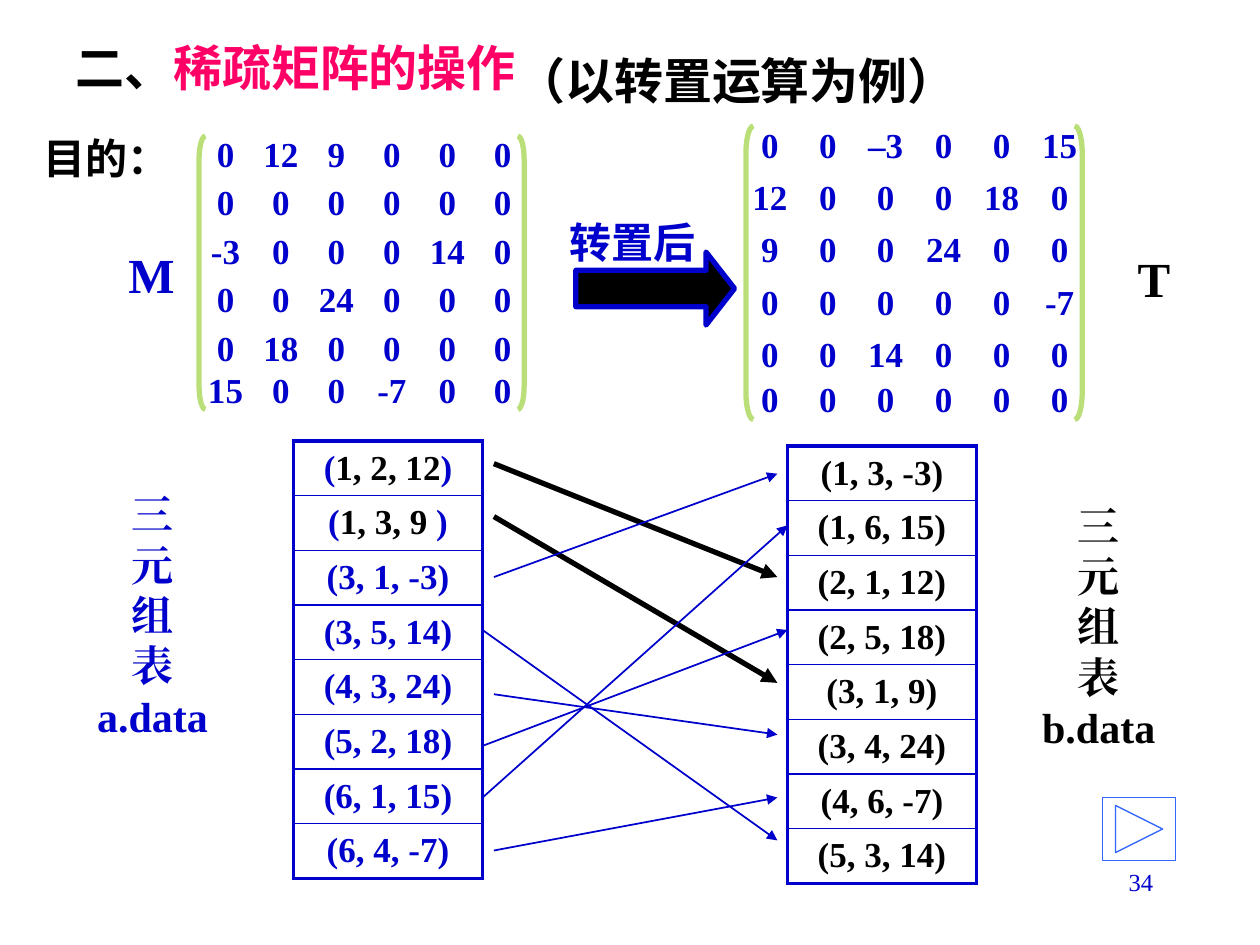
from dataclasses import dataclass

from lxml import etree
from pptx import Presentation
from pptx import util as u
from pptx.dml.color import RGBColor
from pptx.enum import shapes, text
from pptx.oxml.ns import qn


@dataclass(frozen=True)
class Theme:
    blue: str = "0000CC"
    black: str = "000000"
    pink: str = "FF0066"
    green: str = "BADE78"
    sky: str = "3366FF"
    serif: str = "Times New Roman"
    sans: str = "Noto Sans CJK SC"
    heading: int = 28
    label: int = 24
    number: int = 20
    page: int = 14
    thick: float = 3
    frame: float = 2.25
    thin: float = 1
    hairline: float = 0.75


T = Theme()
LEFT, CENTER, RIGHT = text.PP_ALIGN.LEFT, text.PP_ALIGN.CENTER, text.PP_ALIGN.RIGHT

MATRICES = [
    {"left": 1.58, "right": 4.11, "top": 1.08, "height": 2.17, "bracket": 0.05,
     "first": 1.79, "pitch": 0.44, "row_height": 0.27, "row_pitch": 0.385, "last_row": 2.96,
     "rows": ["0 12 9 0 0 0", "0 0 0 0 0 0", "-3 0 0 0 14 0",
              "0 0 24 0 0 0", "0 18 0 0 0 0", "15 0 0 -7 0 0"]},
    {"left": 5.92, "right": 8.53, "top": 1.0, "height": 2.33, "bracket": 0.06,
     "first": 6.11, "pitch": 0.46, "row_height": 0.29, "row_pitch": 0.415, "last_row": 3.02,
     "rows": ["0 0 –3 0 0 15", "12 0 0 0 18 0", "9 0 0 24 0 0",
              "0 0 0 0 0 -7", "0 0 14 0 0 0", "0 0 0 0 0 0"]},
]

TRIPLES = [
    {"left": 2.33, "top": 3.5, "color": T.blue, "rows": [
        [("(", T.blue), ("1, 2, 12", T.black), (")", T.blue)],
        [("(", T.blue), ("1, 3, 9", T.black), (" )", T.blue)],
        "(3, 1, -3)", "(3, 5, 14)", "(4, 3, 24)", "(5, 2, 18)", "(6, 1, 15)", "(6, 4, -7)"]},
    {"left": 6.25, "top": 3.54, "color": T.black, "rows": [
        "(1, 3, -3)", "(1, 6, 15)", "(2, 1, 12)", "(2, 5, 18)",
        "(3, 1, 9)", "(3, 4, 24)", "(4, 6, -7)", "(5, 3, 14)"]},
]
TABLE_WIDTH, TABLE_HEIGHT = 1.5, 3.47

MOVES = [
    (3.92, 3.68, 6.17, 4.58, T.black, T.thick),
    (3.92, 4.1, 6.17, 5.42, T.black, T.thick),
    (3.92, 4.58, 6.17, 3.76, T.blue, T.thin),
    (3.83, 5.0, 6.17, 6.67, T.blue, T.thin),
    (3.92, 6.75, 6.17, 6.33, T.blue, T.thin),
    (3.92, 5.51, 6.17, 5.83, T.blue, T.thin),
    (3.83, 5.92, 6.25, 5.0, T.blue, T.thin),
    (3.83, 6.33, 6.25, 4.17, T.blue, T.thin),
]

HEADINGS = [
    ((0.5, 0.25, 3.92, 0.67), [("二、", T.black), ("稀疏矩阵的操作", T.pink)], T.sans, T.heading),
    ((4, 0.35, 3.73, 0.57), [("（以转置运算为例）", T.black)], T.sans, T.heading),
    ((0.25, 1, 1.21, 0.5), [("目的：", T.black)], T.sans, T.label),
    ((4.42, 1.67, 1.21, 0.5), [("转置后", T.blue)], T.sans, T.label),
    ((0.92, 1.89, 0.57, 0.57), [("M", T.blue)], T.serif, T.heading),
    ((8.93, 1.92, 0.46, 0.57), [("T", T.black)], T.serif, T.heading),
]

CAPTIONS = [
    ((0.67, 3.83, 1.08, 2.1), ["三", "元", "组", "表", "a.data"], T.blue),
    ((8.17, 3.92, 1.1, 2.1), ["三", "元", "组", "表", "b.data"], T.black),
]


def rgb(color):
    return RGBColor.from_string(color)


def inches(values):
    return [u.Inches(value) for value in values]


def write(paragraph, parts, font, size, align=LEFT, bold=True):
    paragraph.alignment = align
    for wording, color in parts:
        run = paragraph.add_run()
        run.text = wording
        run.font.name, run.font.size, run.font.bold = font, u.Pt(size), bold
        run.font.color.rgb = rgb(color)
        etree.SubElement(run.font._element, qn("a:ea"), typeface=font)


def add_box(slide, place, lines, font, size, align=LEFT, bold=True, wrap=False):
    frame = slide.shapes.add_textbox(*inches(place)).text_frame
    frame.word_wrap = wrap
    for index, parts in enumerate(lines):
        paragraph = frame.add_paragraph() if index else frame.paragraphs[0]
        write(paragraph, parts, font, size, align, bold)
    return frame


def add_outline(slide, kind, place, color, weight, fill=None):
    outline = slide.shapes.add_shape(kind, *inches(place))
    outline.shadow.inherit = False
    if fill:
        outline.fill.solid()
        outline.fill.fore_color.rgb = rgb(fill)
    else:
        outline.fill.background()
    outline.line.color.rgb = rgb(color)
    outline.line.width = u.Pt(weight)
    return outline


def add_matrix(slide, matrix):
    sides = [(shapes.MSO_SHAPE.LEFT_BRACKET, "left"), (shapes.MSO_SHAPE.RIGHT_BRACKET, "right")]
    for kind, side in sides:
        place = (matrix[side], matrix["top"], matrix["bracket"], matrix["height"])
        add_outline(slide, kind, place, T.green, T.thick).adjustments[0] = 3.75
    width = matrix["right"] - matrix["left"] + matrix["bracket"]
    for index, row in enumerate(matrix["rows"]):
        is_last = index == len(matrix["rows"]) - 1
        top = matrix["last_row"] if is_last else matrix["top"] + index * matrix["row_pitch"]
        values = row.split()
        wording = "".join("\t" + value for value in values)
        frame = add_box(slide, (matrix["left"], top, width, matrix["row_height"]),
                        [[(wording, T.blue)]], T.serif, T.number, wrap=True)
        frame.margin_left = frame.margin_right = frame.margin_top = frame.margin_bottom = 0
        frame.vertical_anchor = text.MSO_ANCHOR.MIDDLE
        tabs = etree.SubElement(frame.paragraphs[0]._p.get_or_add_pPr(), qn("a:tabLst"))
        for column in range(len(values)):
            stop = matrix["first"] - matrix["left"] + column * matrix["pitch"]
            etree.SubElement(tabs, qn("a:tab"), pos=str(u.Inches(stop)), algn="ctr")


def set_borders(cell, weights):
    properties = cell._tc.get_or_add_tcPr()
    for index, (edge, weight) in enumerate(zip(("lnL", "lnR", "lnT", "lnB"), weights)):
        border = etree.Element(qn("a:" + edge), w=str(u.Pt(weight)))
        fill = etree.SubElement(border, qn("a:solidFill"))
        etree.SubElement(fill, qn("a:srgbClr"), val=T.blue)
        properties.insert(index, border)


def add_triples(slide, triples):
    rows = triples["rows"]
    place = inches((triples["left"], triples["top"], TABLE_WIDTH, TABLE_HEIGHT))
    table = slide.shapes.add_table(len(rows), 1, *place).table
    table.first_row = table.horz_banding = False
    for index, triple in enumerate(rows):
        table.rows[index].height = u.Inches(TABLE_HEIGHT / len(rows))
        cell = table.cell(index, 0)
        cell.fill.background()
        cell.vertical_anchor = text.MSO_ANCHOR.MIDDLE
        parts = [(triple, triples["color"])] if isinstance(triple, str) else triple
        write(cell.text_frame.paragraphs[0], parts, T.serif, T.number, CENTER)
        above = T.thin if index else T.frame
        below = T.thin if index < len(rows) - 1 else T.frame
        set_borders(cell, (T.frame, T.frame, above, below))


def add_move(slide, x1, y1, x2, y2, color, weight):
    move = slide.shapes.add_connector(shapes.MSO_CONNECTOR.STRAIGHT, *inches((x1, y1, x2, y2)))
    move.line.color.rgb = rgb(color)
    move.line.width = u.Pt(weight)
    etree.SubElement(move.line._get_or_add_ln(), qn("a:tailEnd"), type="triangle")
    etree.SubElement(move._element.spPr, qn("a:effectLst"))


def main():
    """Build the sparse matrix transposition slide."""
    deck = Presentation()
    deck.slide_width, deck.slide_height = inches((10, 7.5))
    slide = deck.slides.add_slide(deck.slide_layouts[6])
    add_box(slide, (7.17, 6.83, 2.08, 0.5), [[("34", T.blue)]],
            T.serif, T.page, RIGHT, bold=False, wrap=True)
    for matrix in MATRICES:
        add_matrix(slide, matrix)
    for triples in TRIPLES:
        add_triples(slide, triples)
    for move in MOVES:
        add_move(slide, *move)
    for place, lines, color in CAPTIONS:
        add_box(slide, place, [[(line, color)] for line in lines], T.serif, T.label, CENTER)
    transpose = add_outline(slide, shapes.MSO_SHAPE.RIGHT_ARROW, (4.57, 2, 1.26, 0.58),
                            T.blue, T.thick, T.black)
    transpose.adjustments[0], transpose.adjustments[1] = 0.5, 0.39
    for place, parts, font, size in HEADINGS:
        add_box(slide, place, [parts], font, size)
    add_outline(slide, shapes.MSO_SHAPE.ACTION_BUTTON_FORWARD_OR_NEXT,
                (8.75, 6.33, 0.58, 0.5), T.sky, T.hairline)
    deck.save("out.pptx")


if __name__ == "__main__":
    main()
